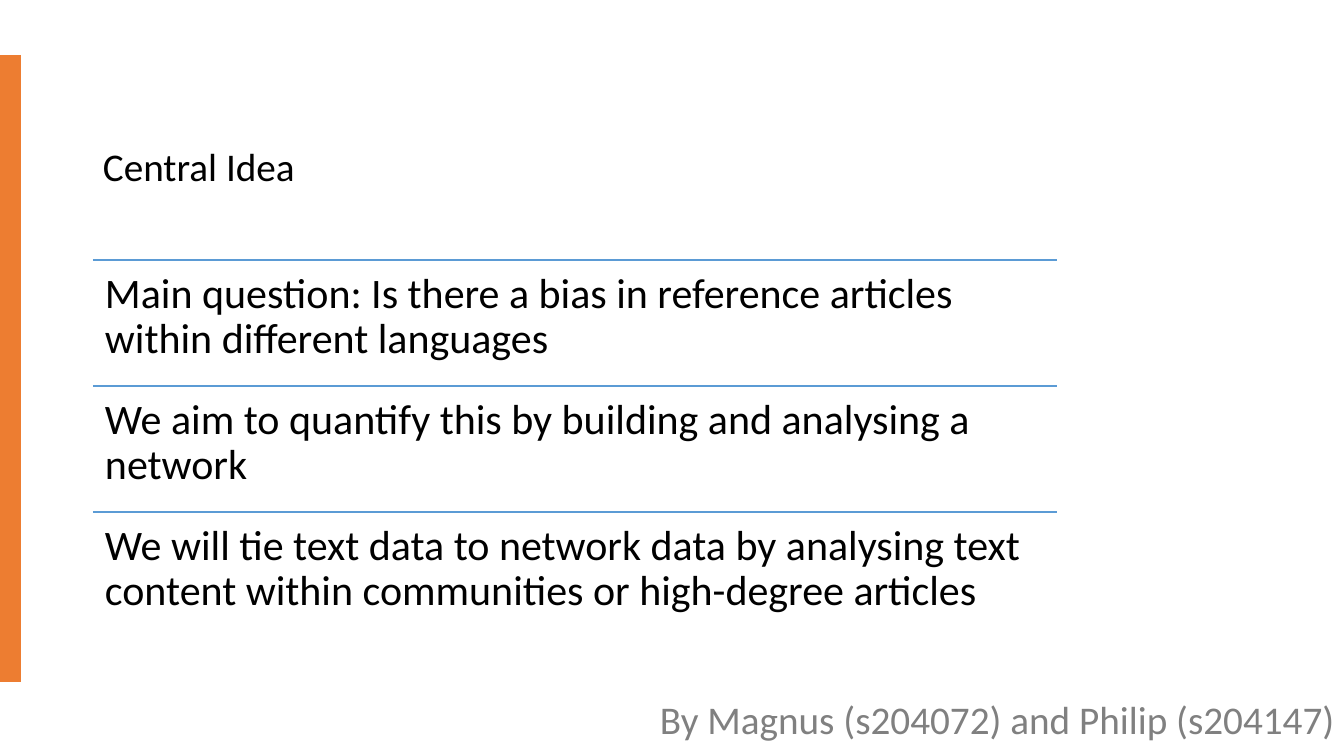
from dataclasses import dataclass

from lxml.etree import SubElement
from pptx import Presentation
from pptx.dml.color import RGBColor
from pptx.enum.shapes import MSO_CONNECTOR, MSO_SHAPE
from pptx.enum.text import MSO_ANCHOR, MSO_AUTO_SIZE, PP_ALIGN
from pptx.oxml.ns import qn
from pptx.util import Emu, Pt

EMU_PER_PX = 914400 / 100.8


@dataclass(frozen=True)
class Theme:
    font: str = "Calibri"
    ink: str = "000000"
    muted: str = "808080"
    accent: str = "ED7D31"
    rule: str = "5B9BD5"
    title_size: int = 28
    idea_size: int = 30
    byline_size: int = 28
    line_spacing: float = 0.9


THEME = Theme()

IDEAS = [
    "Main question: Is there a bias in reference articles within different languages",
    "We aim to quantify this by building and analysing a network",
    "We will tie text data to network data by analysing text content "
    "within communities or high-degree articles",
]
IDEAS_LEFT, IDEAS_TOP, IDEAS_WIDTH, IDEA_HEIGHT = 93, 260, 964, 126


def px(length):
    return Emu(round(length * EMU_PER_PX))


def place(shape, left, top, width, height):
    shape.left, shape.top = px(left), px(top)
    shape.width, shape.height = px(width), px(height)


def write(shape, text, *, size, color=THEME.ink, anchor=MSO_ANCHOR.TOP,
          inset_x=10, inset_y=5):
    frame = shape.text_frame
    frame.word_wrap = True
    frame.auto_size = MSO_AUTO_SIZE.NONE
    frame.vertical_anchor = anchor
    frame.margin_left = frame.margin_right = px(inset_x)
    frame.margin_top = frame.margin_bottom = px(inset_y)
    frame.text = text
    paragraph = frame.paragraphs[0]
    paragraph.alignment = PP_ALIGN.LEFT
    paragraph.line_spacing = THEME.line_spacing
    paragraph.space_before = Pt(0)
    font = paragraph.runs[0].font
    font.name = THEME.font
    font.size = Pt(size)
    font.color.rgb = RGBColor.from_string(color)


def add_text(slide, text, left, top, width, height, **text_format):
    box = slide.shapes.add_textbox(px(left), px(top), px(width), px(height))
    write(box, text, **text_format)


def add_accent_bar(slide, left, top, width, height):
    bar = slide.shapes.add_shape(
        MSO_SHAPE.RECTANGLE, px(left), px(top), px(width), px(height))
    bar.shadow.inherit = False
    bar.fill.solid()
    bar.fill.fore_color.rgb = RGBColor.from_string(THEME.accent)
    bar.line.fill.background()


def add_rule(slide, left, top, width):
    rule = slide.shapes.add_connector(
        MSO_CONNECTOR.STRAIGHT, px(left), px(top), px(left + width), px(top))
    rule.line.color.rgb = RGBColor.from_string(THEME.rule)
    rule.line.width = Pt(1)
    SubElement(rule._element.spPr, qn("a:effectLst"))


def add_idea(slide, text, top):
    """Add one statement with a rule along its top edge."""
    add_rule(slide, IDEAS_LEFT, top, IDEAS_WIDTH)
    add_text(slide, text, IDEAS_LEFT, top, IDEAS_WIDTH, IDEA_HEIGHT,
             size=THEME.idea_size, inset_x=12, inset_y=12)


def main():
    deck = Presentation()
    deck.slide_width, deck.slide_height = px(1344), px(756)
    slide = deck.slides.add_slide(deck.slide_layouts.get_by_name("Title Only"))

    add_accent_bar(slide, 0, 55, 21, 627)
    title = slide.shapes.title
    place(title, 93, 108, 376, 122)
    write(title, "Central Idea", size=THEME.title_size, anchor=MSO_ANCHOR.MIDDLE)
    for row, idea in enumerate(IDEAS):
        add_idea(slide, idea, IDEAS_TOP + row * IDEA_HEIGHT)
    add_text(slide, "By Magnus (s204072) and Philip (s204147)", 650, 696, 1008, 121,
             size=THEME.byline_size, color=THEME.muted)

    deck.save("out.pptx")


if __name__ == "__main__":
    main()
